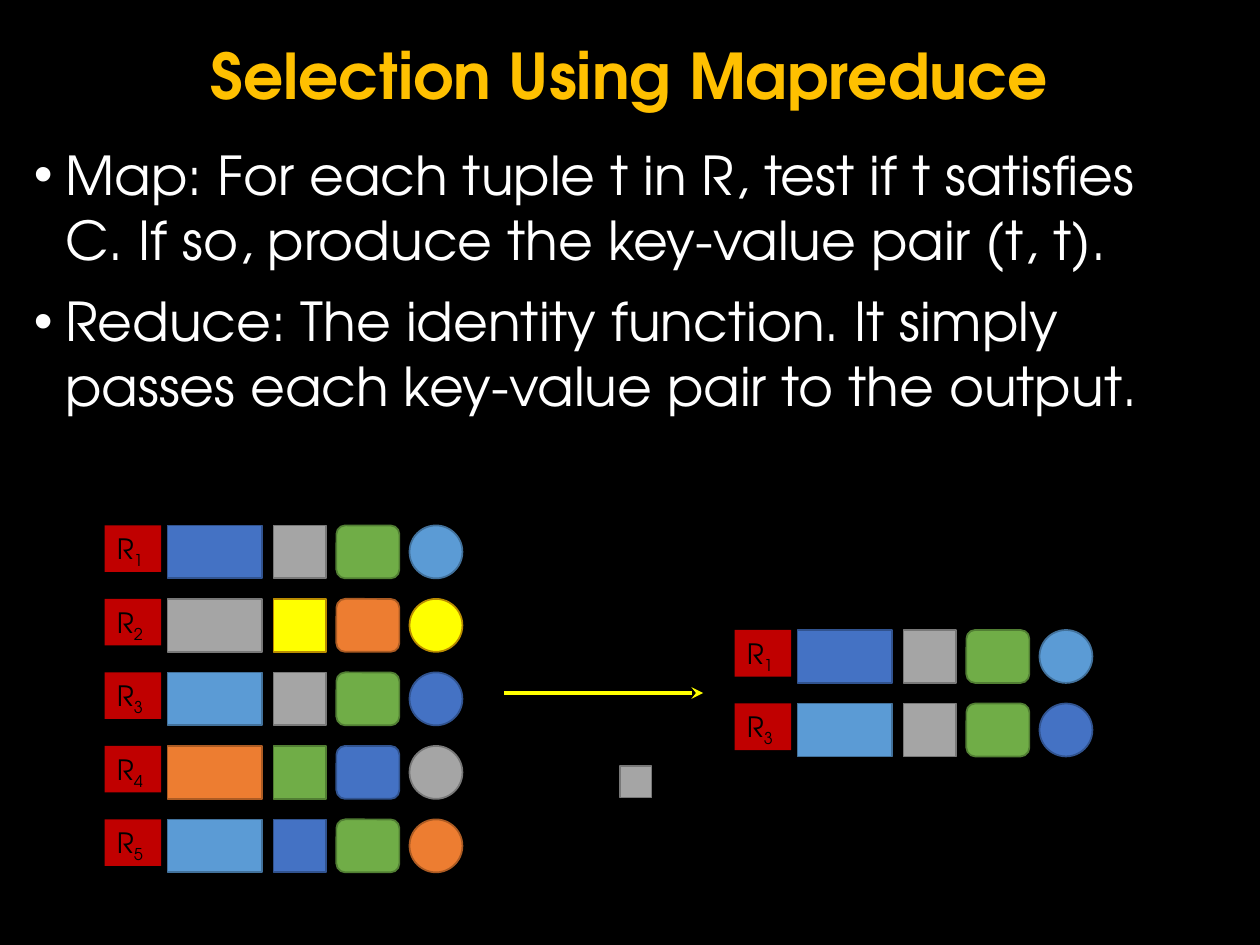
import pptx
import pptx.util
import pptx.dml.color
import pptx.enum.shapes
import pptx.enum.text
import pptx.oxml
import pptx.oxml.ns

Inches = pptx.util.Inches
Pt = pptx.util.Pt
RGBColor = pptx.dml.color.RGBColor
SHAPE = pptx.enum.shapes.MSO_SHAPE

FONT = "TeX Gyre Adventor"
BLACK = RGBColor(0x00, 0x00, 0x00)
WHITE = RGBColor(0xFF, 0xFF, 0xFF)
GOLD = RGBColor(0xFF, 0xC0, 0x00)
RED = RGBColor(0xC0, 0x00, 0x00)
YELLOW = RGBColor(0xFF, 0xFF, 0x00)
BLUE = RGBColor(0x44, 0x72, 0xC4)
GRAY = RGBColor(0xA5, 0xA5, 0xA5)
GREEN = RGBColor(0x70, 0xAD, 0x47)
SKY = RGBColor(0x5B, 0x9B, 0xD5)
ORANGE = RGBColor(0xED, 0x7D, 0x31)
OUTLINES = {
    BLUE: RGBColor(0x31, 0x53, 0x8F),
    GRAY: RGBColor(0x78, 0x78, 0x78),
    GREEN: RGBColor(0x51, 0x7E, 0x33),
    SKY: RGBColor(0x42, 0x71, 0x9B),
    ORANGE: RGBColor(0xAC, 0x5B, 0x23),
    YELLOW: RGBColor(0xBA, 0x8C, 0x00),
}

TITLE = "Selection Using Mapreduce"
BULLETS = [
    "Map: For each tuple t in R, test if t satisfies C. "
    "If so, produce the key-value pair (t, t).",
    "Reduce: The identity function. It simply passes each key-value pair to the output.",
]
TUPLES = {
    1: (BLUE, GRAY, GREEN, SKY),
    2: (GRAY, YELLOW, ORANGE, YELLOW),
    3: (SKY, GRAY, GREEN, BLUE),
    4: (ORANGE, GREEN, BLUE, GRAY),
    5: (SKY, BLUE, GREEN, ORANGE),
}
SELECTED = [1, 3]
FIELDS = [
    (SHAPE.RECTANGLE, 0.5, 0.75),
    (SHAPE.RECTANGLE, 1.34, 0.42),
    (SHAPE.ROUNDED_RECTANGLE, 1.84, 0.5),
    (SHAPE.OVAL, 2.42, 0.42),
]
FIELD_HEIGHT = 0.42
ROW_PITCH = 7 / 12


def set_font(font, size, color, bold=False):
    """Apply the slide font with a size and colour."""
    font.name = FONT
    font.size = Pt(size)
    font.color.rgb = color
    font.bold = bold


def add_text_frame(s, left, top, width, height):
    """Add a wrapping text box and return its text frame."""
    box = s.shapes.add_textbox(Inches(left), Inches(top), Inches(width), Inches(height))
    box.text_frame.word_wrap = True
    return box.text_frame


def add_title(s, left, top, width, height):
    """Place the centred slide title."""
    tf = add_text_frame(s, left, top, width, height)
    tf.vertical_anchor = pptx.enum.text.MSO_ANCHOR.MIDDLE
    tf.text = TITLE
    p = tf.paragraphs[0]
    p.alignment = pptx.enum.text.PP_ALIGN.CENTER
    p.line_spacing = 0.9
    set_font(p.runs[0].font, 36, GOLD, bold=True)


def add_bullets(s, left, top, width, height):
    """Place the bulleted explanation."""
    tf = add_text_frame(s, left, top, width, height)
    for i, text in enumerate(BULLETS):
        p = tf.add_paragraph() if i else tf.paragraphs[0]
        p.text = text
        if i:
            p.space_before = Pt(10)
        pPr = p._p.get_or_add_pPr()
        pPr.set("marL", str(Inches(0.25)))
        pPr.set("indent", str(-Inches(0.25)))
        color = pptx.oxml.ns.qn("a:srgbClr")
        bullet_color = pPr.makeelement(pptx.oxml.ns.qn("a:buClr"), {})
        bullet_color.append(pPr.makeelement(color, {"val": str(WHITE)}))
        pPr.append(bullet_color)
        pPr.append(pPr.makeelement(pptx.oxml.ns.qn("a:buFont"), {"typeface": "Arial"}))
        pPr.append(pPr.makeelement(pptx.oxml.ns.qn("a:buChar"), {"char": "•"}))
        set_font(p.runs[0].font, 30.6, WHITE)


def add_field(s, kind, left, top, width, height, fill):
    """Add one filled shape, outlined when its colour has an outline."""
    sp = s.shapes.add_shape(kind, Inches(left), Inches(top), Inches(width), Inches(height))
    sp.shadow.inherit = False
    sp.fill.solid()
    sp.fill.fore_color.rgb = fill
    if fill in OUTLINES:
        sp.line.color.rgb = OUTLINES[fill]
        sp.line.width = Pt(1)
    else:
        sp.line.fill.background()
    return sp


def add_label(s, left, top, number):
    """Add the red tag that names a tuple."""
    sp = add_field(s, SHAPE.RECTANGLE, left, top, 0.45, 0.37, RED)
    tf = sp.text_frame
    tf.word_wrap = True
    tf.auto_size = pptx.enum.text.MSO_AUTO_SIZE.SHAPE_TO_FIT_TEXT
    tf.vertical_anchor = pptx.enum.text.MSO_ANCHOR.TOP
    p = tf.paragraphs[0]
    p.alignment = pptx.enum.text.PP_ALIGN.LEFT
    for text in ("R", str(number)):
        r = p.add_run()
        r.text = text
        set_font(r.font, 16, BLACK)
    r.font._element.set("baseline", "-25000")


def add_relation(s, left, top, numbers):
    """Stack the numbered tuples as rows of coloured fields."""
    for row, number in enumerate(numbers):
        y = top + row * ROW_PITCH
        add_label(s, left, y, number)
        for (kind, dx, width), fill in zip(FIELDS, TUPLES[number]):
            add_field(s, kind, left + dx, y, width, FIELD_HEIGHT, fill)


def add_selection(s, left, top, width):
    """Draw the selection arrow and the condition square below it."""
    line = s.shapes.add_connector(
        pptx.enum.shapes.MSO_CONNECTOR.STRAIGHT,
        Inches(left), Inches(top), Inches(left + width), Inches(top))
    line.line.color.rgb = YELLOW
    line.line.width = Pt(2.25)
    ln = line.line._get_or_add_ln()
    ln.append(ln.makeelement(pptx.oxml.ns.qn("a:tailEnd"), {"type": "stealth"}))
    spPr = line._element.spPr
    spPr.append(spPr.makeelement(pptx.oxml.ns.qn("a:effectLst"), {}))
    add_field(s, SHAPE.RECTANGLE, left + 0.92, top + 0.58, 0.25, 0.25, GRAY)


def main():
    """Build and save the slide."""
    prs = pptx.Presentation()
    prs.slide_width = Inches(10)
    prs.slide_height = Inches(7.5)
    s = prs.slides.add_slide(prs.slide_layouts[6])
    s.background.fill.solid()
    s.background.fill.fore_color.rgb = BLACK
    add_title(s, 0.33, 0.25, 9.33, 0.75)
    add_bullets(s, 0.17, 1.08, 9.5, 2.58)
    add_relation(s, 0.83, 4.17, TUPLES)
    add_selection(s, 4, 5.5, 1.58)
    add_relation(s, 5.83, 5, SELECTED)
    prs.save("out.pptx")


if __name__ == "__main__":
    main()
